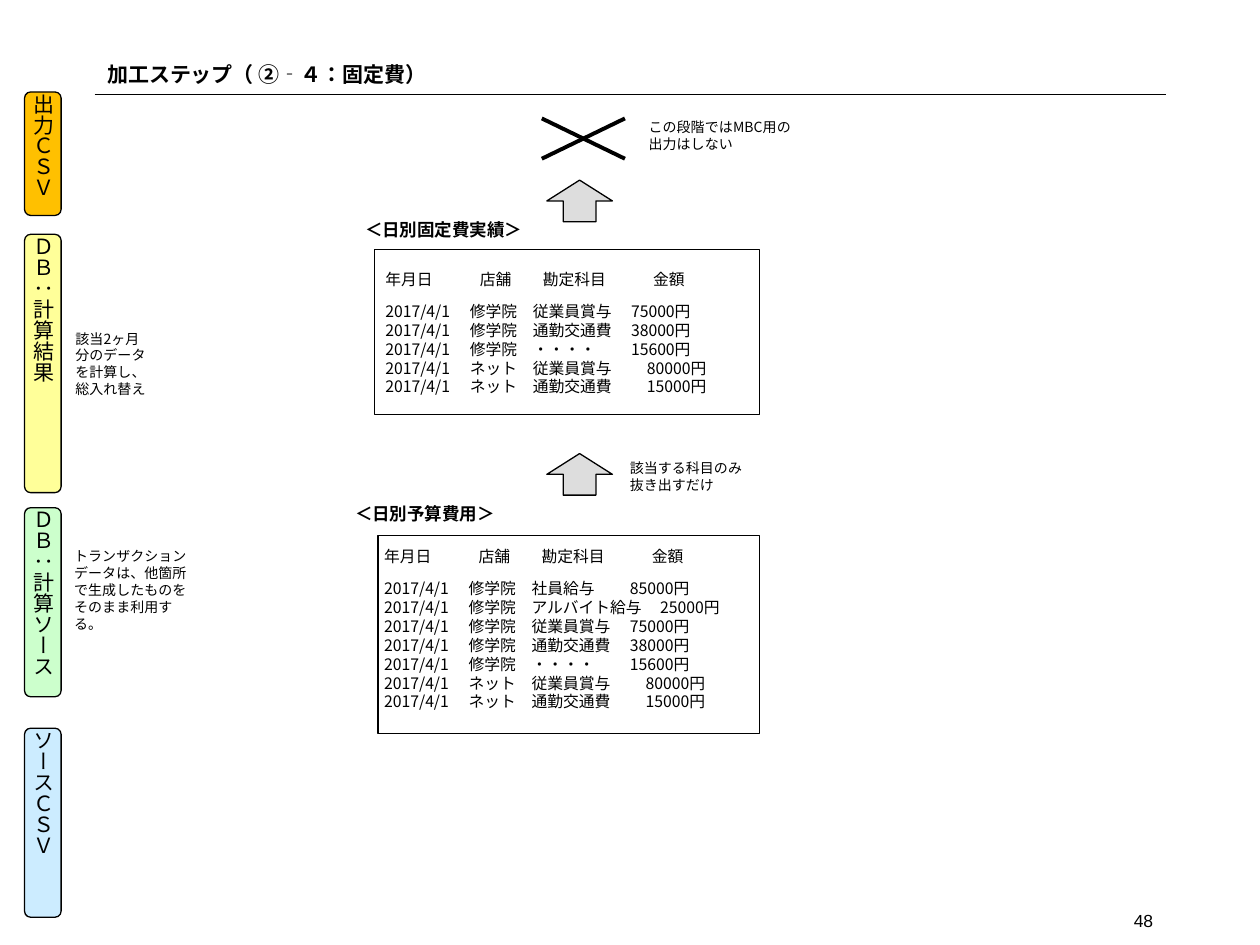
from lxml import etree
from pptx import Presentation
from pptx.dml.color import RGBColor
from pptx.enum.lang import MSO_LANGUAGE_ID
from pptx.enum.shapes import MSO_CONNECTOR, MSO_SHAPE
from pptx.enum.text import MSO_ANCHOR, PP_ALIGN
from pptx.oxml.ns import qn
from pptx.util import Inches, Pt

STRAIGHT = MSO_CONNECTOR.STRAIGHT
RECTANGLE, ROUNDED, UP_ARROW = MSO_SHAPE.RECTANGLE, MSO_SHAPE.ROUNDED_RECTANGLE, MSO_SHAPE.UP_ARROW
MIDDLE = MSO_ANCHOR.MIDDLE
LEFT, RIGHT = PP_ALIGN.LEFT, PP_ALIGN.RIGHT
JAPANESE_LANGUAGE = MSO_LANGUAGE_ID.JAPANESE

COLORS = {"ink": "000000", "paper": "FFFFFF", "arrow": "DDDDDD", "output": "FFC000",
          "result": "FFFF99", "source": "CCFFCC", "input": "CCECFF"}
JAPANESE, LATIN = "Noto Sans CJK JP", "Arial"
WIDTH, HEIGHT = Inches(10), Inches(7.5)
COLUMN, ROW = WIDTH / 100, HEIGHT / 75
LINE_SPACING = 1.2

HEADER = ("年月日", "店舗", "勘定科目", "金額")
HEADER_STOPS = (7.5, 12.5, 21.25)
ROW_STOPS = (6.7, 11.7)
NEAR, CENTRAL, FAR = 19.5, 20.75, 21.9
DATE = "2017/4/1"
FIXED_COSTS = [
    ("修学院", "従業員賞与", "75000円", NEAR),
    ("修学院", "通勤交通費", "38000円", NEAR),
    ("修学院", "・・・・", "15600円", NEAR),
    ("ネット", "従業員賞与", "80000円", CENTRAL),
    ("ネット", "通勤交通費", "15000円", CENTRAL),
]
BUDGET_COSTS = [
    ("修学院", "社員給与", "85000円", NEAR),
    ("修学院", "アルバイト給与", "25000円", FAR),
] + FIXED_COSTS


def color(name):
    return RGBColor.from_string(COLORS[name])


def place(box):
    left, top, width, height = box
    return round(left * COLUMN), round(top * ROW), round(width * COLUMN), round(height * ROW)


def add_tabs(paragraph, stops):
    tabs = etree.SubElement(paragraph._p.get_or_add_pPr(), qn("a:tabLst"))
    for stop in stops:
        etree.SubElement(tabs, qn("a:tab"), pos=str(round(stop * COLUMN)), algn="l")


def format_paragraph(paragraph, size, bold=False, align=LEFT, font=JAPANESE, stops=()):
    paragraph.alignment = align
    paragraph.line_spacing = Pt(size * LINE_SPACING)
    paragraph._p.pPr.set("hangingPunct", "0")
    if stops:
        add_tabs(paragraph, stops)
    paragraph.font.size = Pt(size)
    paragraph.font.bold = bold
    paragraph.font.language_id = JAPANESE_LANGUAGE
    paragraph.font.color.rgb = color("ink")
    paragraph.font.name = font
    properties = paragraph._p.pPr.find(qn("a:defRPr"))
    etree.SubElement(properties, qn("a:ea"), typeface=font)


def add_text(slide, box, lines, size, stops=None, **style):
    frame = slide.shapes.add_textbox(*place(box)).text_frame
    frame.word_wrap = True
    frame.text = "\n".join(lines)
    for index, paragraph in enumerate(frame.paragraphs):
        format_paragraph(paragraph, size, stops=stops[index] if stops else (), **style)


def add_box(slide, kind, box, fill):
    shape = slide.shapes.add_shape(kind, *place(box))
    shape.shadow.inherit = False
    shape.fill.solid()
    shape.fill.fore_color.rgb = color(fill)
    shape.line.color.rgb = color("ink")
    shape.line.width = Pt(0.75)
    return shape


def add_line(slide, start, end, width):
    ends = [round(value * unit) for point in (start, end) for value, unit in zip(point, (COLUMN, ROW))]
    line = slide.shapes.add_connector(STRAIGHT, *ends)
    line.line.color.rgb = color("ink")
    line.line.width = Pt(width)
    etree.SubElement(line._element.spPr, qn("a:effectLst"))


def add_heading(slide, box, text):
    title = slide.shapes.title
    title.left, title.top, title.width, title.height = place(box)
    title.text_frame.text = text
    title.text_frame.vertical_anchor = MIDDLE
    format_paragraph(title.text_frame.paragraphs[0], 12, bold=True)
    left, top, _, _ = box
    add_line(slide, (left, top + 3.1), (left + 85, top + 3.1), 0.75)


def add_stage(slide, box, text, fill):
    frame = add_box(slide, ROUNDED, box, fill).text_frame
    frame.text = text
    frame.word_wrap = True
    frame.vertical_anchor = MIDDLE
    frame.margin_left = frame.margin_right = frame.margin_top = frame.margin_bottom = 0
    frame._txBody.bodyPr.set("vert", "eaVert")
    format_paragraph(frame.paragraphs[0], 12)


def add_cost_panel(slide, box, caption, caption_offset, text_offset, costs):
    left, top, _, _ = box
    add_box(slide, RECTANGLE, box, "paper")
    add_text(slide, (left + caption_offset[0], top + caption_offset[1], 16, 2.7), [caption], 10, bold=True)
    text_left, text_top = left + text_offset[0], top + text_offset[1]
    add_text(slide, (text_left, text_top, 28.5, 2.5), ["\t".join(HEADER)], 9, [HEADER_STOPS])
    lines = ["\t".join((DATE, *cost[:3])) for cost in costs]
    stops = [(*ROW_STOPS, cost[3]) for cost in costs]
    add_text(slide, (text_left, text_top + 2.55, 29.8, 1 + 1.5 * len(costs)), lines, 9, stops)


def add_cross(slide, box):
    left, top, width, height = box
    add_line(slide, (left, top), (left + width, top + height), 2.25)
    add_line(slide, (left, top + height), (left + width, top), 2.25)


def main():
    presentation = Presentation()
    presentation.slide_width, presentation.slide_height = WIDTH, HEIGHT
    slide = presentation.slides.add_slide(presentation.slide_layouts[5])

    add_heading(slide, (7.5, 4.4, 56.7, 2.9), "加工ステップ（ ②‐４：固定費）")
    for top, height, text, fill in (
        (7.3, 9.8, "出力ＣＳＶ", "output"),
        (18.6, 20.5, "ＤＢ：計算結果", "result"),
        (40.3, 15, "ＤＢ：計算ソース", "source"),
        (57.8, 15, "ソースＣＳＶ", "input"),
    ):
        add_stage(slide, (1.95, top, 2.9, height), text, fill)

    add_cost_panel(slide, (29.7, 19.8, 30.6, 13.1), "＜日別固定費実績＞", (-1.7, -2.9), (-0.1, 1.1), FIXED_COSTS)
    add_cost_panel(slide, (30, 42.5, 30.3, 15.7), "＜日別予算費用＞", (-2.8, -3.1), (-0.5, 0.4), BUDGET_COSTS)

    add_cross(slide, (43, 9.4, 6.6, 3.2))
    for top in (14.3, 36):
        add_box(slide, UP_ARROW, (43.4, top, 5.2, 3.3), "arrow")

    for box, note in (
        ((50.5, 8.9, 13.6, 3.7), "この段階ではMBC用の出力はしない"),
        ((5, 25.7, 7.8, 6.4), "該当2ヶ月分のデータを計算し、総入れ替え"),
        ((49, 36, 12, 3.7), "該当する科目のみ抜き出すだけ"),
        ((4.9, 43, 11.9, 6.4), "トランザクションデータは、他箇所で生成したものをそのまま利用する。"),
    ):
        add_text(slide, box, [note], 8)
    add_text(slide, (71.7, 71.7, 20.8, 2.5), ["48"], 10, align=RIGHT, font=LATIN)

    presentation.save("out.pptx")


if __name__ == "__main__":
    main()
